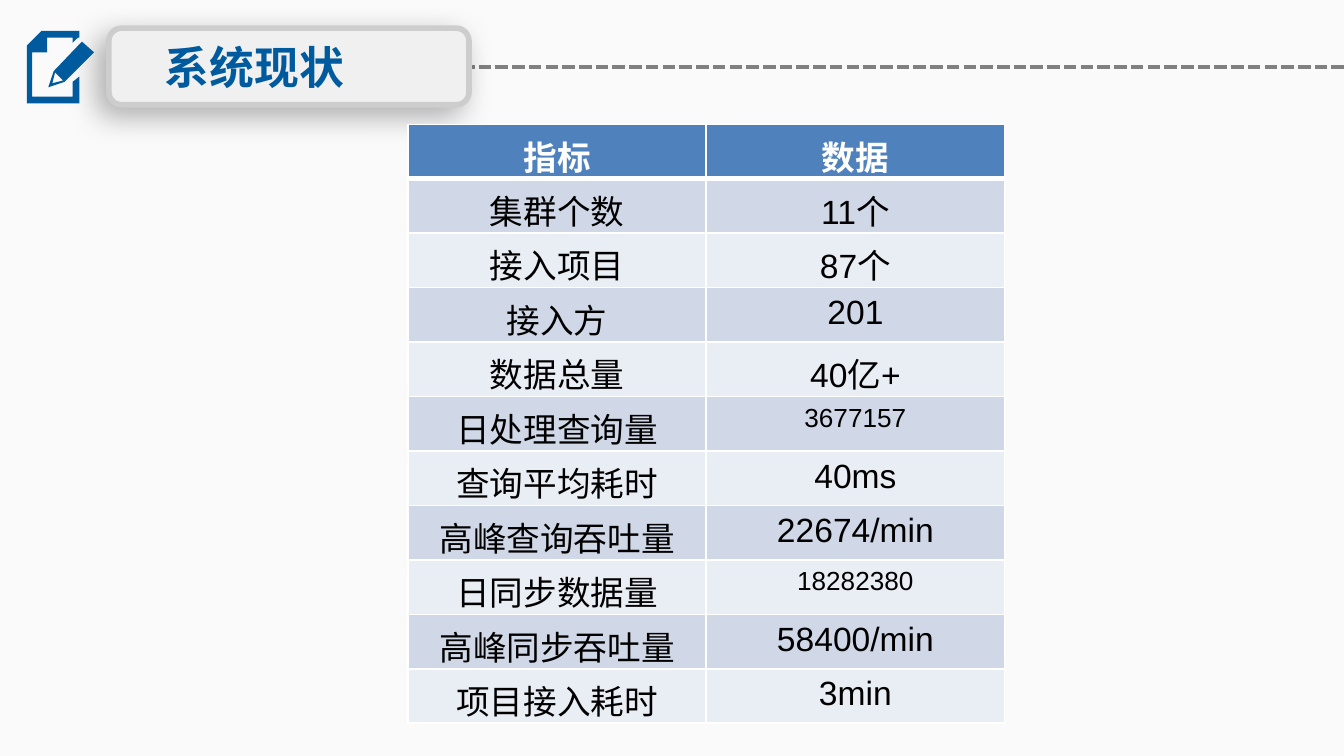
from lxml import etree
from pptx import Presentation, util as u
from pptx.dml.color import RGBColor
from pptx.enum import dml, shapes, text
from pptx.oxml import parse_xml
from pptx.oxml.ns import nsdecls, qn

TITLE = "系统现状"
HEADER = ("指标", "数据")
METRICS = [
    ("集群个数", "11个"),
    ("接入项目", "87个"),
    ("接入方", "201"),
    ("数据总量", "40亿+"),
    ("日处理查询量", "3677157"),
    ("查询平均耗时", "40ms"),
    ("高峰查询吞吐量", "22674/min"),
    ("日同步数据量", "18282380"),
    ("高峰同步吞吐量", "58400/min"),
    ("项目接入耗时", "3min"),
]
SMALL_VALUES = {"3677157", "18282380"}

SHEET = [[(54, 72), (24, 72), (24, 39), (35, 39), (35, 28), (54, 28),
          (54, 32), (58, 28), (59, 28), (59, 23), (31, 23), (20, 34),
          (20, 77), (59, 77), (59, 57), (54, 61)]]
PENCIL = [[(40, 53), (36, 65), (48, 61), (70, 39), (61, 31)],
          [(47, 60), (39, 62), (41, 54)]]

FONT = "Arial"
BLUE = RGBColor(0x00, 0x5A, 0x9E)
GREY = RGBColor(0x80, 0x80, 0x80)
RIM = RGBColor(0xCD, 0xCD, 0xCD)
WHITE = RGBColor(0xFF, 0xFF, 0xFF)
BLACK = RGBColor(0x00, 0x00, 0x00)
HEAD_FILL = RGBColor(0x4F, 0x81, 0xBD)
BANDS = (RGBColor(0xD0, 0xD8, 0xE8), RGBColor(0xE9, 0xED, 0xF4))
PAGE_STOPS = (RGBColor(0xFA, 0xFA, 0xFA), RGBColor(0xFC, 0xFC, 0xFC))
BOX_STOPS = (RGBColor(0xF0, 0xF0, 0xF0), RGBColor(0xF1, 0xF1, 0xF1))

PX = 4572
ICON_UNIT = 2 * PX
PAGE = (2000, 1125)
RULE = (2000, 100, 638, 100)
TITLE_BOX = (162, 42, 536, 114)
TITLE_TEXT = (225, 49, 310, 100)
TABLE = (607, 185, 888, 892)


def px(*lengths):
    return [u.Emu(length * PX) for length in lengths]


def write(frame, words, size=18, color=BLACK, bold=False, align=text.PP_ALIGN.CENTER):
    para = frame.paragraphs[0]
    para.alignment = align
    span = para.add_run()
    span.text = words
    span.font.name = FONT
    span.font.size = u.Pt(size)
    span.font.bold = bold
    span.font.color.rgb = color


def blend(fill, colors, angle):
    fill.gradient()
    fill.gradient_angle = angle
    for stop, color in zip(fill.gradient_stops, colors):
        stop.color.rgb = color


def draw_icon_part(group, contours):
    first, *holes = contours
    builder = group.shapes.build_freeform(*first[0], scale=ICON_UNIT)
    builder.add_line_segments(first[1:])
    for hole in holes:
        builder.move_to(*hole[0])
        builder.add_line_segments(hole[1:])
    part = builder.convert_to_shape()
    part.shadow.inherit = False
    part.fill.solid()
    part.fill.fore_color.rgb = BLUE
    part.line.fill.background()


def border(cell, **widths):
    properties = cell._tc.get_or_add_tcPr()
    for side in "LRTB":
        properties.append(parse_xml(
            f'<a:ln{side} {nsdecls("a")} w="{u.Pt(widths.get(side, 1))}">'
            f'<a:solidFill><a:srgbClr val="{WHITE}"/></a:solidFill></a:ln{side}>'))


deck = Presentation()
deck.slide_width, deck.slide_height = px(*PAGE)
page = deck.slides.add_slide(deck.slide_layouts[5])
blend(page.background.fill, PAGE_STOPS, 270)

rule = page.shapes.add_connector(shapes.MSO_CONNECTOR.STRAIGHT, *px(*RULE))
rule.line.color.rgb = GREY
rule.line.width = u.Pt(2.25)
rule.line.dash_style = dml.MSO_LINE.SQUARE_DOT
etree.SubElement(rule.element.spPr, qn("a:effectLst"))

box = page.shapes.add_shape(shapes.MSO_SHAPE.ROUNDED_RECTANGLE, *px(*TITLE_BOX))
blend(box.fill, BOX_STOPS, 315)
box.line.color.rgb = RIM
box.line.width = u.Pt(3)
box.element.spPr.append(parse_xml(
    f'<a:effectLst {nsdecls("a")}><a:outerShdw blurRad="{u.Pt(16)}" dist="{u.Pt(7)}" '
    'dir="8100000" algn="tr" rotWithShape="0"><a:srgbClr val="000000">'
    '<a:alpha val="30000"/></a:srgbClr></a:outerShdw></a:effectLst>'))

title = page.shapes.title
title.left, title.top, title.width, title.height = px(*TITLE_TEXT)
title.text_frame.word_wrap = False
title.text_frame.auto_size = text.MSO_AUTO_SIZE.SHAPE_TO_FIT_TEXT
title.text_frame.vertical_anchor = text.MSO_ANCHOR.TOP
write(title.text_frame, TITLE, size=24, color=BLUE, bold=True, align=text.PP_ALIGN.LEFT)
box.element.addnext(title.element)

icon = page.shapes.add_group_shape()
for contours in (SHEET, PENCIL):
    draw_icon_part(icon, contours)

rows = [HEADER] + METRICS
table = page.shapes.add_table(len(rows), len(HEADER), *px(*TABLE)).table
for row_index, row in enumerate(rows):
    is_header = row_index == 0
    for column_index, words in enumerate(row):
        cell = table.cell(row_index, column_index)
        border(cell, T=3 if row_index == 1 else 1, B=3 if is_header else 1)
        cell.fill.solid()
        cell.fill.fore_color.rgb = HEAD_FILL if is_header else BANDS[(row_index - 1) % 2]
        write(cell.text_frame, words, size=14 if words in SMALL_VALUES else 18,
              color=WHITE if is_header else BLACK, bold=is_header)

deck.save("out.pptx")
